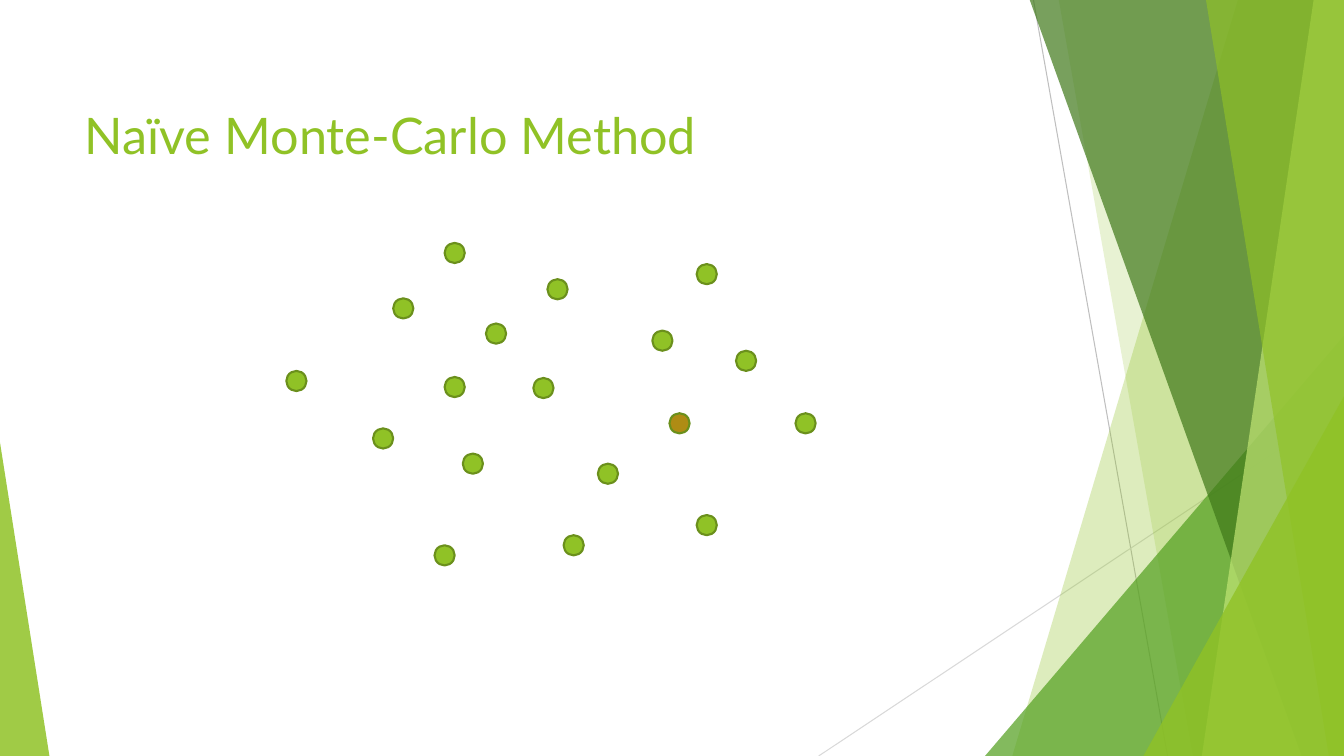
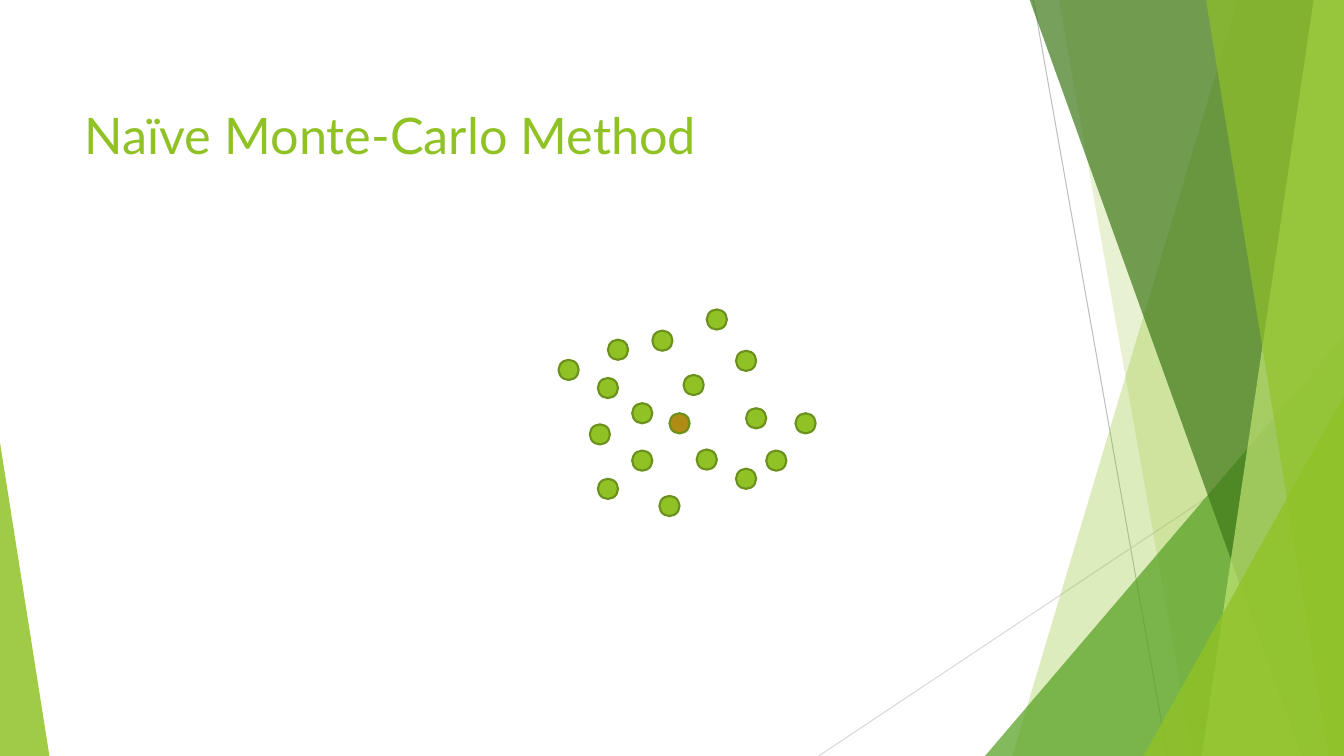
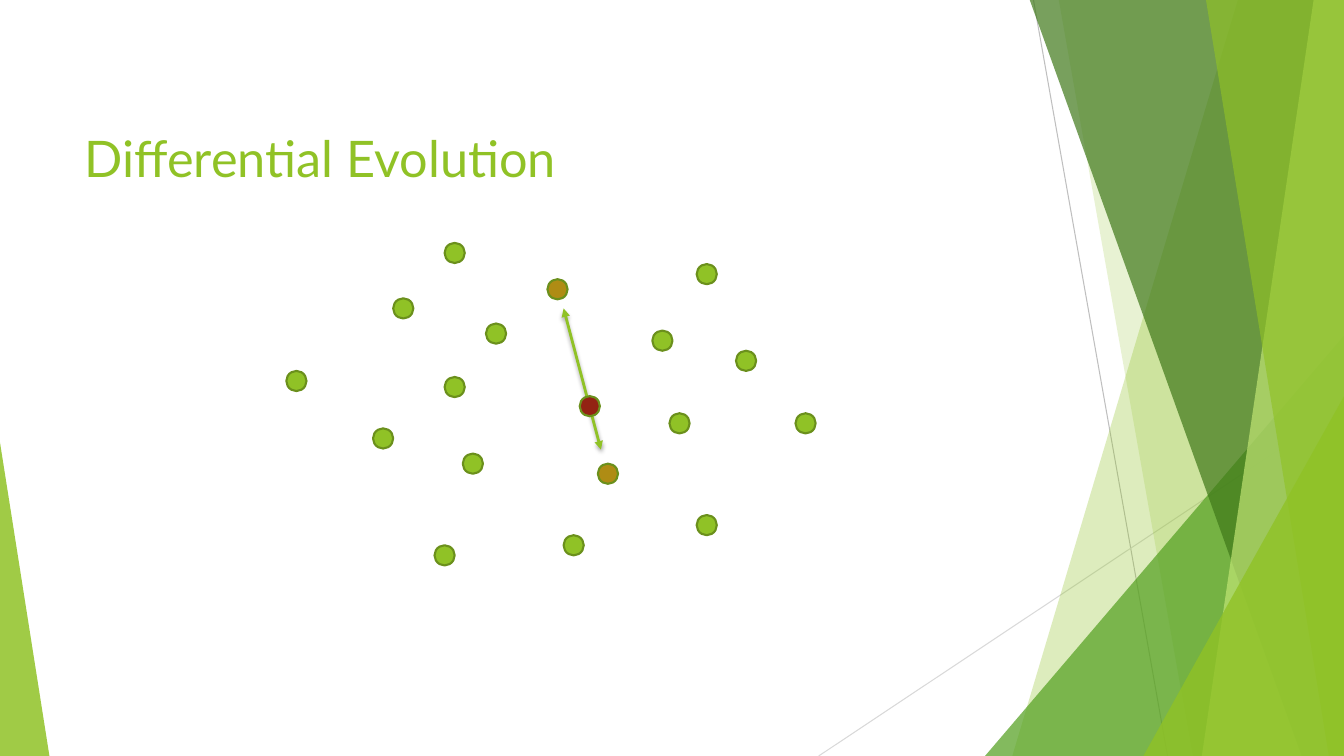
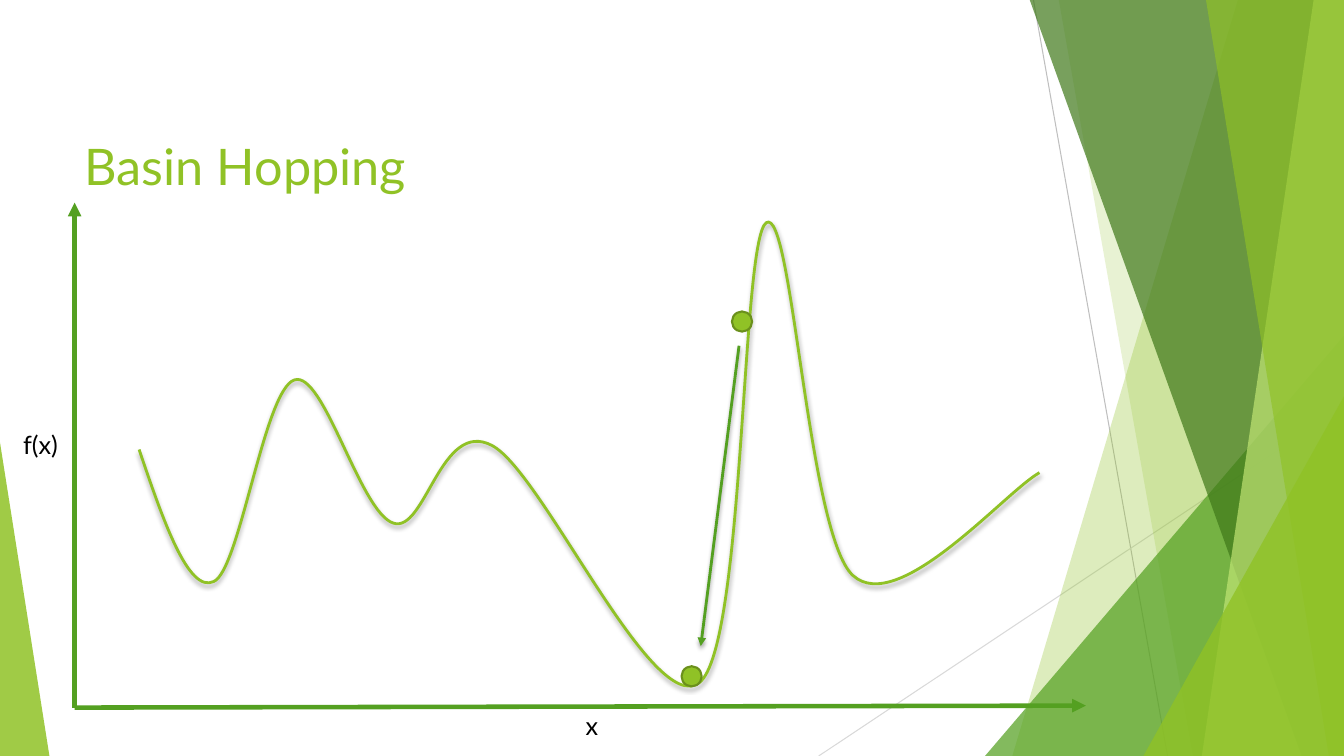
from lxml.etree import SubElement
from pptx import Presentation
from pptx.dml.color import RGBColor
from pptx.enum.shapes import MSO_CONNECTOR as CONN, MSO_SHAPE as SHAPE
from pptx.enum.text import MSO_ANCHOR as ANCHOR, MSO_AUTO_SIZE as AUTO, PP_ALIGN as ALIGN
from pptx.oxml.ns import qn
from pptx.util import Emu, Pt

EMU_PER_PX = 9144
WIDTH, HEIGHT = 1333, 750
DOT_SIZE = 20

LIME, GREEN, FOREST, PALE = "90C226", "54A021", "3F7819", "C0E474"
OUTLINE, GOLD, RED, BLACK = "6B901C", "AF8C14", "932313", "000000"

TITLE_FRAME = {"vertical_anchor": ANCHOR.TOP, "auto_size": AUTO.NONE, "word_wrap": True}
LABEL_FRAME = {"auto_size": AUTO.SHAPE_TO_FIT_TEXT, "word_wrap": False}
TITLE_FONT = {"name": "Lato", "size": Pt(36)}
LABEL_FONT = {"name": "Lato", "size": Pt(18)}
SHADOW = {"blurRad": "38100", "dist": "25400", "dir": "5400000", "rotWithShape": "0"}

SPREAD_DOTS = [
    (390, 296), (370, 425), (559, 531), (691, 511), (441, 241), (789, 410),
    (647, 328), (482, 321), (543, 277), (441, 374), (459, 450), (664, 410),
    (284, 368), (593, 460), (431, 541), (730, 348), (691, 262),
]
EXTRA_DOT = (529, 375)
FOCUSED_DOTS = [
    (585, 421), (654, 492), (593, 475), (730, 465), (691, 446), (789, 410),
    (647, 328), (740, 405), (701, 307), (627, 400), (603, 337), (664, 410),
    (760, 447), (627, 447), (554, 357), (730, 348), (678, 372), (593, 375),
]
BEST_DOT = (664, 410)
PARENT_DOTS = [(543, 277), (593, 460)]
CHILD_DOT = (575, 393)

CURVE_START = (138, 446)
CURVE = [
    [(162, 517), (187, 589), (212, 577)],
    [(238, 566), (262, 387), (292, 377)],
    [(321, 367), (357, 508), (390, 519)],
    [(422, 530), (437, 415), (488, 442)],
    [(538, 468), (648, 714), (694, 677)],
    [(739, 640), (735, 239), (760, 221)],
    [(786, 203), (801, 530), (846, 571)],
    [(891, 612), (997, 488), (1031, 469)],
]


def px(n):
    return Emu(n * EMU_PER_PX)


def rgb(hex_value):
    return RGBColor.from_string(hex_value)


def apply(obj, values):
    for name, value in values.items():
        setattr(obj, name, value)


class Deck:
    def __init__(self):
        self.prs = Presentation()
        apply(self.prs, {"slide_width": px(WIDTH), "slide_height": px(HEIGHT)})
        self.layout = self.prs.slide_layouts[5]
        self.s = None

    def slide(self, title, top, height):
        self.s = self.prs.slides.add_slide(self.layout)
        sp = self.s.shapes.title
        apply(sp, {"left": px(74), "top": px(top), "width": px(940), "height": px(height)})
        self.put_text(sp, title, TITLE_FRAME, TITLE_FONT, LIME)

    def put_text(self, sp, text, frame, font, color):
        tf = sp.text_frame
        apply(tf, frame)
        p = tf.paragraphs[0]
        p.alignment = ALIGN.LEFT
        r = p.add_run()
        r.text = text
        apply(r.font, font)
        r.font.color.rgb = rgb(color)

    def label(self, text, x, y, w, h):
        sp = self.s.shapes.add_textbox(px(x), px(y), px(w), px(h))
        self.put_text(sp, text, LABEL_FRAME, LABEL_FONT, BLACK)

    def stroke(self, sp, color, width):
        sp.line.color.rgb = rgb(color)
        sp.line.width = Pt(width)

    def paint(self, sp, color, alpha=100):
        sp.shadow.inherit = False
        sp.fill.solid()
        sp.fill.fore_color.rgb = rgb(color)
        if alpha < 100:
            clr = sp.element.spPr.find(qn("a:solidFill")).find(qn("a:srgbClr"))
            SubElement(clr, qn("a:alpha"), val=str(alpha * 1000))

    def cast_shadow(self, effects):
        shadow = SubElement(effects, qn("a:outerShdw"), SHADOW)
        clr = SubElement(shadow, qn("a:srgbClr"), val=BLACK)
        SubElement(clr, qn("a:alpha"), val="35000")

    def line(self, start, end, color, width, arrows=(), shadow=False):
        sp = self.s.shapes.add_connector(CONN.STRAIGHT, *map(px, start + end))
        self.stroke(sp, color, width)
        ln = sp.element.spPr.find(qn("a:ln"))
        for arrow in arrows:
            SubElement(ln, qn(f"a:{arrow}"), type="triangle")
        effects = SubElement(sp.element.spPr, qn("a:effectLst"))
        if shadow:
            self.cast_shadow(effects)

    def dot(self, spot, color=LIME):
        x, y = spot
        sp = self.s.shapes.add_shape(SHAPE.OVAL, px(x), px(y), px(DOT_SIZE), px(DOT_SIZE))
        self.paint(sp, color)
        self.stroke(sp, OUTLINE, 1.5)

    def dots(self, spots, marked):
        for spot in spots:
            self.dot(spot, GOLD if spot in marked else LIME)

    def band(self, top_x, bottom_x, color, alpha):
        fb = self.s.shapes.build_freeform(top_x, -1, scale=float(EMU_PER_PX))
        fb.add_line_segments([(WIDTH, -1), (WIDTH, HEIGHT), (bottom_x, HEIGHT)])
        sp = fb.convert_to_shape()
        self.paint(sp, color, alpha)
        sp.line.fill.background()

    def wedge(self, x, y, w, apex, color, alpha):
        sp = self.s.shapes.add_shape(
            SHAPE.ISOSCELES_TRIANGLE, px(x), px(y), px(w), px(HEIGHT - y))
        sp.adjustments[0] = apex
        self.paint(sp, color, alpha)
        sp.line.fill.background()

    def curve(self, start, segments, color, width):
        anchors = [start] + [segment[-1] for segment in segments]
        left, top = (min(values) for values in zip(*anchors))
        fb = self.s.shapes.build_freeform(*start, scale=float(EMU_PER_PX))
        fb.add_line_segments(anchors[1:], close=False)
        sp = fb.convert_to_shape()
        sp.shadow.inherit = False
        sp.fill.background()
        self.stroke(sp, color, width)
        outline = next(sp.element.iter(qn("a:path")))
        for old in outline.findall(qn("a:lnTo")):
            outline.remove(old)
        for segment in segments:
            bezier = SubElement(outline, qn("a:cubicBezTo"))
            for x, y in segment:
                SubElement(bezier, qn("a:pt"), x=str(x - left), y=str(y - top))
        self.cast_shadow(sp.element.spPr.find(qn("a:effectLst")))

    def backdrop(self):
        self.line((1025, 0), (1158, HEIGHT), "BFBFBF", 0.75)
        self.line((WIDTH, 403), (812, HEIGHT), "D9D9D9", 0.75)
        self.band(1228, 1004, LIME, 30)
        self.band(1050, 1183, LIME, 20)
        self.wedge(977, 333, 356, 1, GREEN, 72)
        self.band(1021, 1291, FOREST, 70)
        self.band(1303, 1192, PALE, 70)
        self.band(1196, 1318, LIME, 65)
        self.wedge(1134, 393, 199, 1, LIME, 80)
        self.wedge(0, 439, 49, 0, LIME, 85)
        self.move_to_layout()

    def move_to_layout(self):
        title, *others = self.layout.placeholders
        for ph in others:
            ph.element.getparent().remove(ph.element)
        for sp in list(self.s.shapes):
            if not sp.is_placeholder:
                title.element.addprevious(sp.element)


def main():
    deck = Deck()

    deck.slide("Naïve Monte-Carlo Method", 98, 75)
    deck.backdrop()
    deck.dots(SPREAD_DOTS + [EXTRA_DOT], [BEST_DOT])

    deck.slide("Naïve Monte-Carlo Method", 98, 75)
    deck.dots(FOCUSED_DOTS, [BEST_DOT])

    deck.slide("Differential Evolution", 121, 144)
    deck.dots(SPREAD_DOTS, PARENT_DOTS)
    deck.line((559, 306), (596, 446), LIME, 2, ("headEnd", "tailEnd"), shadow=True)
    deck.dot(CHILD_DOT, RED)

    deck.slide("Basin Hopping", 129, 72)
    deck.curve(CURVE_START, CURVE, LIME, 2)
    for axis_end in [(74, 201), (1077, 700)]:
        deck.line((74, 702), axis_end, GREEN, 3.25, ("tailEnd",))
    deck.label("x", 571, 700, 33, 40)
    deck.label("f(x)", 13, 421, 61, 40)
    for spot in [(726, 309), (676, 661)]:
        deck.dot(spot)
    deck.line((733, 343), (695, 641), GREEN, 2, ("tailEnd",), shadow=True)

    deck.prs.save("out.pptx")


if __name__ == "__main__":
    main()
